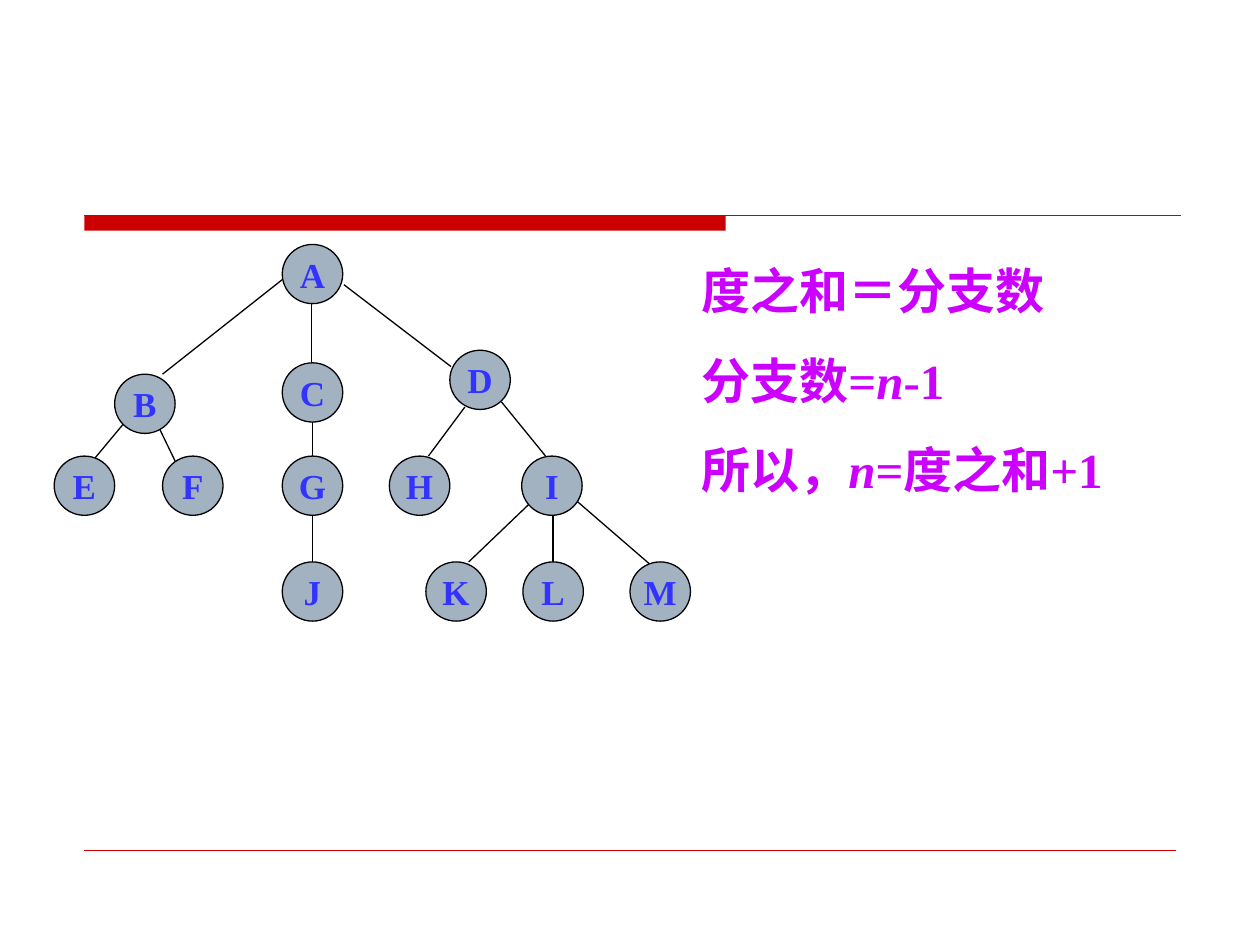
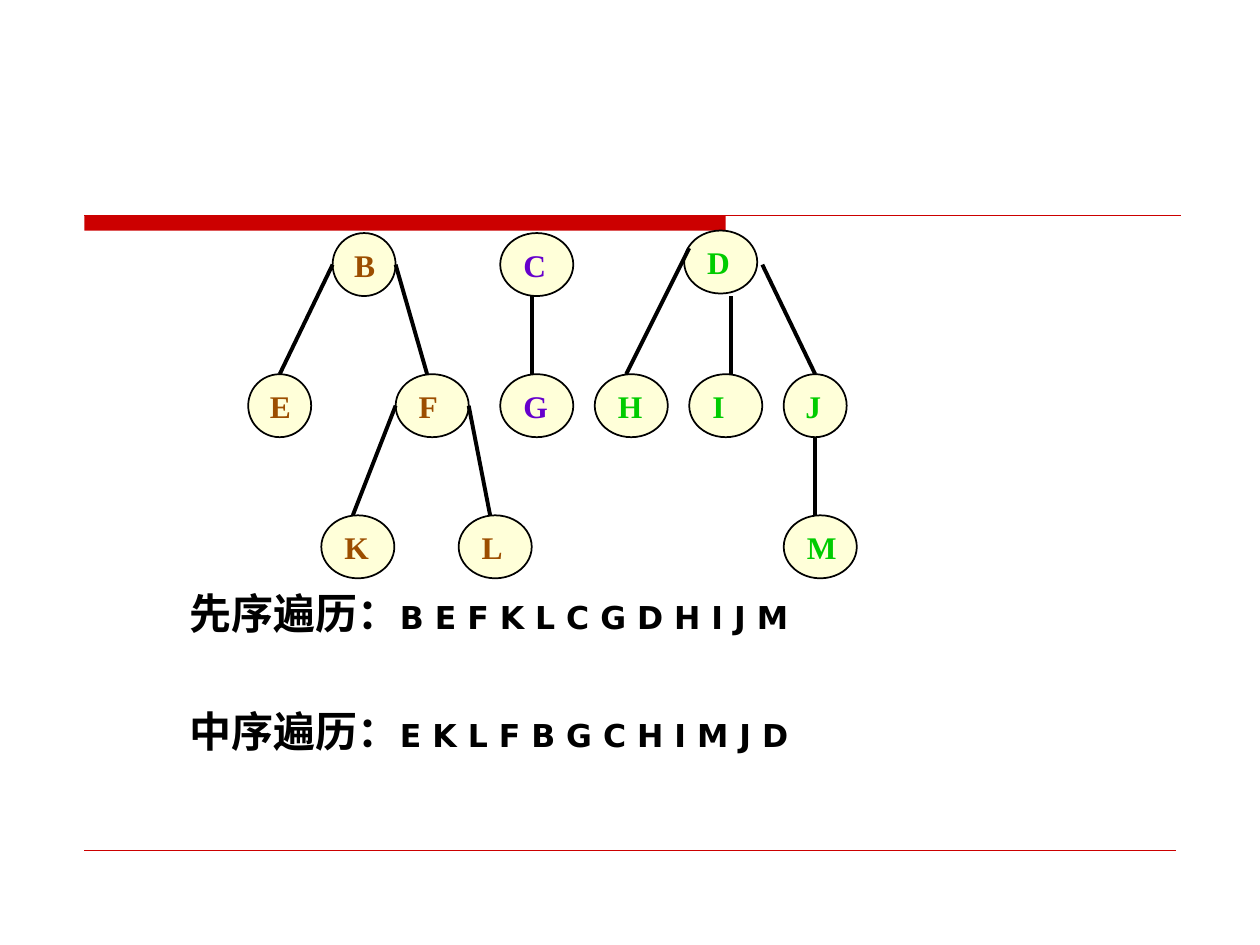
from typing import NamedTuple

from lxml.etree import SubElement
from pptx import Presentation
from pptx.dml.color import RGBColor
from pptx.enum.shapes import MSO_CONNECTOR, MSO_SHAPE
from pptx.enum.text import MSO_ANCHOR, PP_ALIGN
from pptx.oxml.ns import qn
from pptx.slide import Slide
from pptx.text.text import TextFrame, _Paragraph
from pptx.util import Inches, Pt

COLORS = {
    "band": "CC0000",
    "black": "000000",
    "gray_node": "A3B2C1",
    "blue": "3333FF",
    "magenta": "CC00FF",
    "cream_node": "FFFFD9",
    "brown": "9C4E00",
    "purple": "6600CC",
    "green": "00CC00",
}
SERIF = "Times New Roman"
SANS = "DejaVu Sans"


class Node(NamedTuple):
    letter: str
    left: float
    top: float
    width: float
    color: str


class NodeStyle(NamedTuple):
    height: float
    fill: str
    outline: float
    size: float
    align: PP_ALIGN


class Edge(NamedTuple):
    x1: float
    y1: float
    x2: float
    y2: float


class Traversal(NamedTuple):
    label: str
    order: str
    top: float
    width: float


DEGREE_STYLE = NodeStyle(0.47, "gray_node", 0.75, 20, PP_ALIGN.CENTER)
FOREST_STYLE = NodeStyle(0.5, "cream_node", 1, 18, PP_ALIGN.LEFT)

LEAF_ROW, BOTTOM_ROW = 3.62, 4.46
DEGREE_NODES = [
    Node(letter, left, top, 0.48, "blue")
    for letter, left, top in [
        ("A", 2.24, 1.94), ("B", 0.91, 2.97), ("C", 2.24, 2.88), ("D", 3.57, 2.78),
        ("E", 0.43, LEAF_ROW), ("F", 1.29, LEAF_ROW), ("G", 2.24, LEAF_ROW),
        ("H", 3.09, LEAF_ROW), ("I", 4.14, LEAF_ROW),
        ("J", 2.24, BOTTOM_ROW), ("K", 3.38, BOTTOM_ROW),
        ("L", 4.15, BOTTOM_ROW), ("M", 5, BOTTOM_ROW),
    ]
]
DEGREE_EDGES = [
    Edge(2.24, 2.22, 1.29, 2.97), Edge(2.47, 2.41, 2.47, 2.87),
    Edge(2.73, 2.26, 3.58, 2.91), Edge(1, 3.34, 0.75, 3.64),
    Edge(1.25, 3.37, 1.4, 3.68), Edge(2.48, 3.34, 2.48, LEAF_ROW),
    Edge(3.69, 3.23, 3.4, LEAF_ROW), Edge(3.98, 3.19, 4.33, LEAF_ROW),
    Edge(2.48, 4.09, 2.48, BOTTOM_ROW), Edge(4.2, 4, 3.72, BOTTOM_ROW),
    Edge(4.39, 4.09, 4.39, BOTTOM_ROW), Edge(4.57, 3.97, 5.16, 4.48),
]
FORMULAS = [
    [("度之和＝分支数", False)],
    [("分支数=", False), ("n", True), ("-1", False)],
    [("所以，", False), ("n", True), ("=度之和+1", False)],
]

ROOTS, CHILDREN, GRANDCHILDREN = (1.85 + 1.12 * level for level in range(3))
NARROW, WIDE = 0.5, 0.58
FOREST_NODES = [
    Node("B", 2.64, ROOTS, NARROW, "brown"),
    Node("C", 3.97, ROOTS, WIDE, "purple"),
    Node("D", 5.43, 1.83, WIDE, "green"),
    Node("E", 1.97, CHILDREN, NARROW, "brown"),
    Node("F", 3.14, CHILDREN, WIDE, "brown"),
    Node("G", 3.97, CHILDREN, WIDE, "purple"),
    Node("H", 4.72, CHILDREN, WIDE, "green"),
    Node("I", 5.47, CHILDREN, WIDE, "green"),
    Node("J", 6.22, CHILDREN, NARROW, "green"),
    Node("M", 6.22, GRANDCHILDREN, WIDE, "green"),
    Node("K", 2.55, GRANDCHILDREN, WIDE, "brown"),
    Node("L", 3.64, GRANDCHILDREN, WIDE, "brown"),
]
FOREST_EDGES = [
    Edge(2.64, 2.1, 2.22, CHILDREN), Edge(3.14, 2.1, 3.39, CHILDREN),
    Edge(3.14, 3.22, 2.8, GRANDCHILDREN), Edge(3.72, 3.22, 3.89, GRANDCHILDREN),
    Edge(4.22, 2.35, 4.22, CHILDREN), Edge(5.47, 1.97, 4.97, CHILDREN),
    Edge(5.8, 2.35, 5.8, CHILDREN), Edge(6.05, 2.1, 6.47, CHILDREN),
    Edge(6.47, 3.47, 6.47, GRANDCHILDREN),
]
TRAVERSALS = [
    Traversal("先序遍历：", "B E F K L C G D H I J M", 4.61, 6.86),
    Traversal("中序遍历：", "E K L F B G C H I M J D", 5.55, 5.93),
]


def rgb(name: str) -> RGBColor:
    return RGBColor.from_string(COLORS[name])


def write_text(para: _Paragraph, text: str, *, size: float, color: str,
               font: str = SERIF, italic: bool = False) -> None:
    span = para.add_run()
    span.text = text
    span.font.name = font
    span.font.size = Pt(size)
    span.font.bold = True
    span.font.italic = italic
    span.font.color.rgb = rgb(color)


def draw_edge(page: Slide, edge: Edge, width: float, color: str = "black") -> None:
    line = page.shapes.add_connector(MSO_CONNECTOR.STRAIGHT, *map(Inches, edge))
    line.line.width = Pt(width)
    line.line.color.rgb = rgb(color)
    SubElement(line._element.spPr, qn("a:effectLst"))


def draw_node(page: Slide, node: Node, style: NodeStyle) -> None:
    circle = page.shapes.add_shape(
        MSO_SHAPE.OVAL, Inches(node.left), Inches(node.top),
        Inches(node.width), Inches(style.height))
    circle.shadow.inherit = False
    circle.fill.solid()
    circle.fill.fore_color.rgb = rgb(style.fill)
    circle.line.color.rgb = rgb("black")
    circle.line.width = Pt(style.outline)
    frame = circle.text_frame
    frame.word_wrap = False
    frame.vertical_anchor = MSO_ANCHOR.MIDDLE
    para = frame.paragraphs[0]
    para.alignment = style.align
    write_text(para, node.letter, size=style.size, color=node.color)


def add_text_frame(page: Slide, left: float, top: float,
                   width: float, height: float) -> TextFrame:
    box = page.shapes.add_textbox(*map(Inches, (left, top, width, height)))
    box.text_frame.word_wrap = True
    return box.text_frame


def add_page(deck: Presentation) -> Slide:
    page = deck.slides.add_slide(deck.slide_layouts[6])
    band = page.shapes.add_shape(
        MSO_SHAPE.RECTANGLE, Inches(0.67), Inches(1.71), Inches(5.09), Inches(0.12))
    band.shadow.inherit = False
    band.fill.solid()
    band.fill.fore_color.rgb = rgb("band")
    band.line.fill.background()
    draw_edge(page, Edge(0.67, 1.71, 9.37, 1.71), 0.75, "band")
    draw_edge(page, Edge(0.67, 6.75, 9.33, 6.75), 0.25, "band")
    return page


def build_degree_page(deck: Presentation) -> None:
    page = add_page(deck)
    for edge in DEGREE_EDGES:
        draw_edge(page, edge, 0.75)
    for node in DEGREE_NODES:
        draw_node(page, node, DEGREE_STYLE)
    frame = add_text_frame(page, 5.47, 2.02, 3.78, 1.99)
    for index, formula in enumerate(FORMULAS):
        para = frame.add_paragraph() if index else frame.paragraphs[0]
        if index:
            para.space_before = Pt(17.5)
        for text, italic in formula:
            write_text(para, text, size=28, color="magenta", italic=italic)


def build_forest_page(deck: Presentation) -> None:
    page = add_page(deck)
    for node in FOREST_NODES:
        draw_node(page, node, FOREST_STYLE)
    for edge in FOREST_EDGES:
        draw_edge(page, edge, 2.25)
    for traversal in TRAVERSALS:
        frame = add_text_frame(page, 1.41, traversal.top, traversal.width, 0.8)
        para = frame.paragraphs[0]
        write_text(para, traversal.label, size=24, color="black", font=SANS)
        write_text(para, traversal.order, size=18, color="black", font=SANS)


def main() -> None:
    deck = Presentation()
    deck.slide_width, deck.slide_height = Inches(10), Inches(7.5)
    build_degree_page(deck)
    build_forest_page(deck)
    deck.save("out.pptx")


if __name__ == "__main__":
    main()
